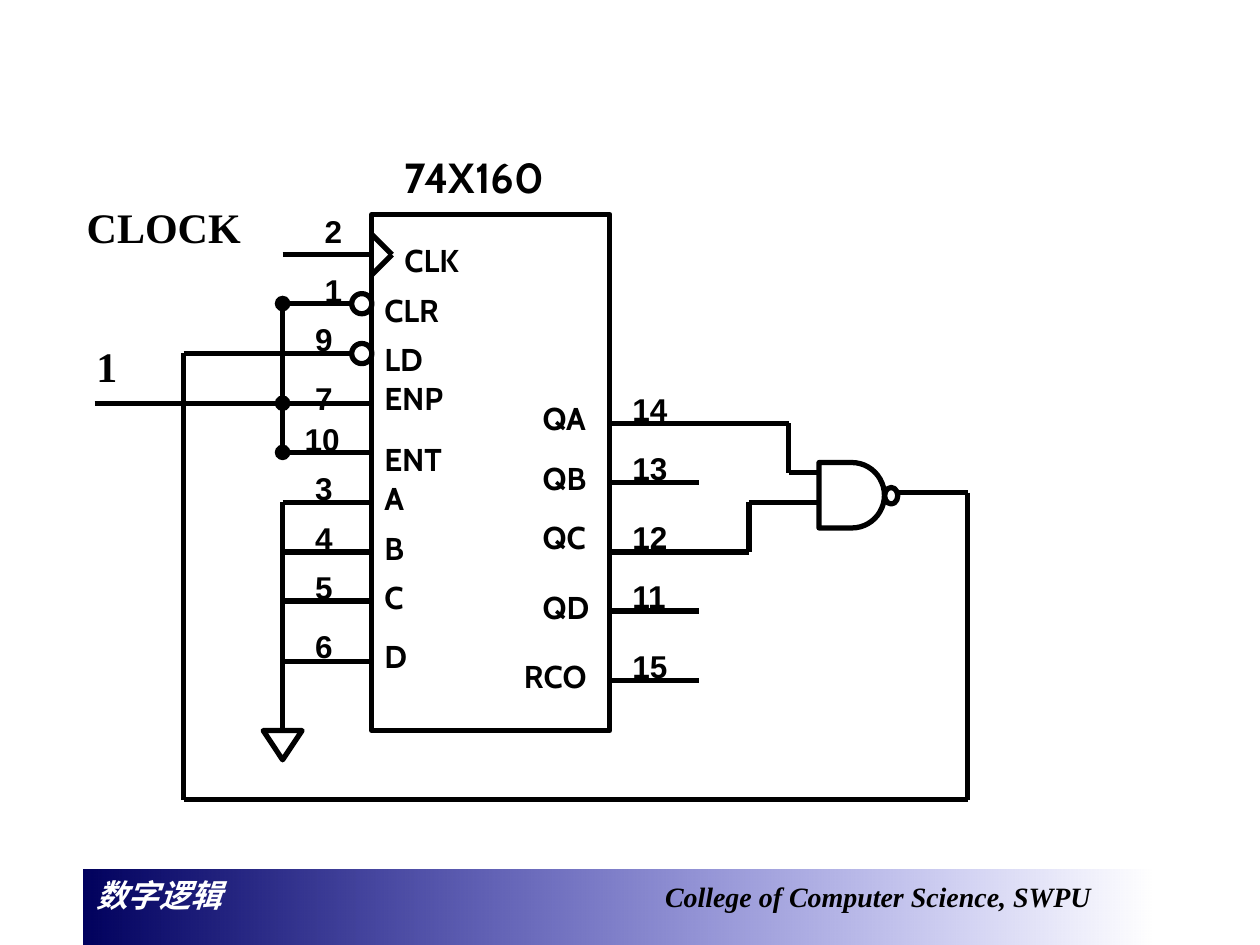
"""Build a slide with a 74X160 counter, its NAND feedback loop and a footer."""
from itertools import pairwise

from lxml import etree
from pptx import Presentation
from pptx.dml.color import RGBColor
from pptx.enum import shapes, text
from pptx.oxml import ns
from pptx.util import Pt

rgb = RGBColor.from_string
INK, WHITE = "000000", "FFFFFF"


def wire(*points, dot=False):
    for (x1, y1), (x2, y2) in pairwise(points):
        c = s.shapes.add_connector(shapes.MSO_CONNECTOR.STRAIGHT, Pt(x1), Pt(y1), Pt(x2), Pt(y2))
        c.line.color.rgb = rgb(INK)
        c.line.width = Pt(3)
        if dot:
            etree.SubElement(c.line._get_or_add_ln(), ns.qn("a:headEnd"), type="oval")
        etree.SubElement(c._element.spPr, ns.qn("a:effectLst"))


def label(words, x, y, w, font, size=18):
    tb = s.shapes.add_textbox(Pt(x), Pt(y), Pt(w), Pt(size * 1.2 + 7.2))
    tf = tb.text_frame
    tf.word_wrap = True
    tf.text = words
    f = tf.paragraphs[0].runs[0].font
    f.name, f.size, f.bold = font, Pt(size), True
    f.color.rgb = rgb(INK)


prs = Presentation()
prs.slide_width, prs.slide_height = Pt(720), Pt(540)
s = prs.slides.add_slide(prs.slide_layouts[6])

footer = s.shapes.add_shape(shapes.MSO_SHAPE.RECTANGLE, Pt(48), Pt(496.8), Pt(612), Pt(50.4))
footer.shadow.inherit = False
footer.line.fill.background()
footer.fill.gradient()
footer.fill.gradient_angle = 0
for stop, position, color in zip(footer.fill.gradient_stops, (0, 1), ("00005E", "0000CC")):
    stop.position = position
    stop.color.rgb = rgb(color)
clear = footer._element.spPr.findall(".//" + ns.qn("a:srgbClr"))[-1]
etree.SubElement(clear, ns.qn("a:alpha"), val="0")
tf = footer.text_frame
tf.vertical_anchor = text.MSO_ANCHOR.TOP
p = tf.paragraphs[0]
p.alignment = text.PP_ALIGN.LEFT
tabs = etree.SubElement(p._p.get_or_add_pPr(), ns.qn("a:tabLst"))
etree.SubElement(tabs, ns.qn("a:tab"), pos=str(Pt(325)), algn="l")
for words, size, color in (("数字逻辑\t", 18, WHITE), ("College of Computer Science, SWPU", 16, INK)):
    r = p.add_run()
    r.text = words
    r.font.name, r.font.size = "Times New Roman", Pt(size)
    r.font.bold = r.font.italic = True
    r.font.color.rgb = rgb(color)

BUS, LEFT, RIGHT = 161.5, 212.5, 348.5
left_pins = [
    ("2", 178.5, 117.4, "CLK", 224, 134, 145.5),
    ("1", 178.5, 151.2, "CLR", LEFT, 162.7, 173.5),
    ("9", 173, 179.3, "LD", LEFT, 190.8, 202),
    ("7", 173, 213.1, "ENP", LEFT, 213.1, 230.4),
    ("10", 167, 236.2, "ENT", LEFT, 247.7, 258.5),
    ("3", 173, 264.4, "A", LEFT, 270, 287),
    ("4", 173, 293, "B", LEFT, 298.8, 315.4),
    ("5", 173, 321.1, "C", LEFT, 326.9, 343.5),
    ("6", 173, 355, "D", LEFT, 360.7, 378),
]
right_pins = [
    ("14", "QA", 303, 224.6, 241.9),
    ("13", "QB", 303, 258.5, 275.8),
    ("12", "QC", 303, 292.3, 315.4),
    ("11", "QD", 303, 332.6, 349.2),
    ("15", "RCO", 292.3, 372.2, 388.8),
]
inverted = ("CLR", "LD")

for kind, x, y, w, h, fill in (
    ("RECTANGLE", LEFT, 122.5, RIGHT - LEFT, 295, None),
    ("OVAL", 201, 167.8, 11.5, 11.5, WHITE),
    ("OVAL", 201, 196.3, 11.5, 11.5, WHITE),
    ("FLOWCHART_DELAY", 468, 264.3, 37.4, 37.4, None),
    ("OVAL", 505.5, 278.6, 7.5, 9.4, None),
    ("FLOWCHART_MERGE", 150.4, 417.5, 22.2, 16.7, None),
):
    sp = s.shapes.add_shape(shapes.MSO_SHAPE[kind], Pt(x), Pt(y), Pt(w), Pt(h))
    sp.shadow.inherit = False
    sp.line.color.rgb = rgb(INK)
    sp.line.width = Pt(3)
    if fill:
        sp.fill.solid()
        sp.fill.fore_color.rgb = rgb(fill)
    else:
        sp.fill.background()

for number, nx, ny, name, x, y, pin_y in left_pins:
    end = 201.5 if name in inverted else LEFT
    wire((BUS, pin_y), (end, pin_y), dot=name in ("CLR", "ENP", "ENT"))
    label(number, nx, ny, 39.5 if len(number) > 1 else 28, "Arial")
    label(name, x, y, 57, "Cabin")

for number, name, x, y, pin_y in right_pins:
    wire((RIGHT, pin_y), (399.5, pin_y))
    label(number, 354.3, pin_y - 22.8, 39.5, "Arial")
    label(name, x, y, 73.5, "Cabin")

wire((LEFT, 134), (224, 145.5), (LEFT, 157))
wire((54, 230.4), (BUS, 230.4))
wire((BUS, 258.5), (BUS, 173.5))
wire((BUS, 287), (BUS, 417.5))
wire((399.5, 241.9), (450.7, 241.9), (450.7, 270), (468, 270))
wire((399.5, 315.4), (428, 315.4), (428, 287), (468, 287))
wire((513, 281.5), (553, 281.5), (553, 457), (105, 457), (105, 202), (BUS, 202))

label("74X160", 224, 82.8, 108, "Cabin", 24)
label("CLOCK", 42.5, 111.6, 119, "Times New Roman", 24)
label("1", 48, 190.8, 45.5, "Times New Roman", 24)

prs.save("out.pptx")
